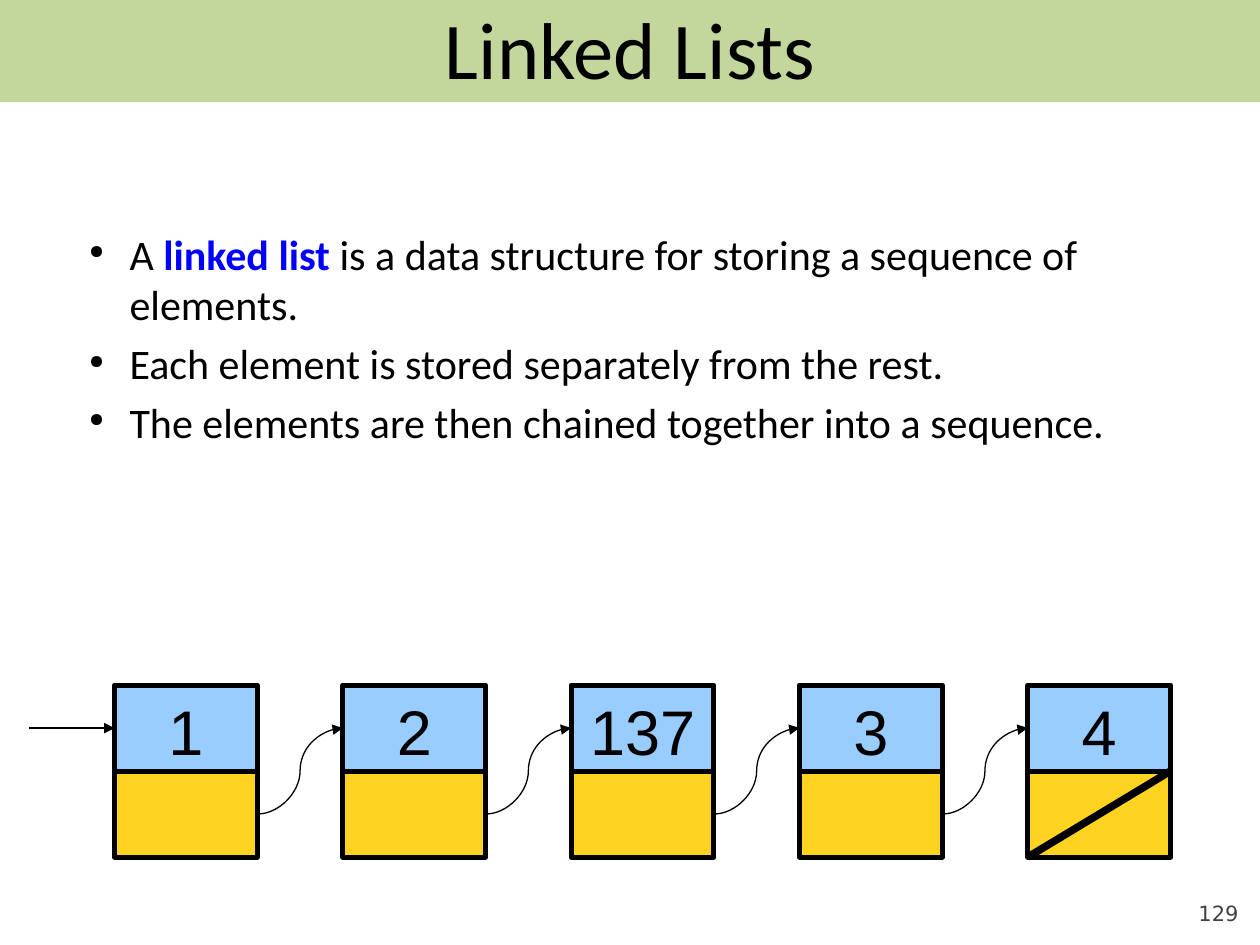
from lxml import etree
from pptx import Presentation
from pptx.dml.color import RGBColor
from pptx.enum.shapes import MSO_CONNECTOR, MSO_SHAPE
from pptx.enum.text import MSO_ANCHOR, PP_ALIGN
from pptx.oxml.ns import qn
from pptx.util import Inches, Pt

RECT, ROUNDED = MSO_SHAPE.RECTANGLE, MSO_SHAPE.ROUNDED_RECTANGLE
STRAIGHT, CURVE = MSO_CONNECTOR.STRAIGHT, MSO_CONNECTOR.CURVE
CENTER, RIGHT = PP_ALIGN.CENTER, PP_ALIGN.RIGHT
MIDDLE, BOTTOM = MSO_ANCHOR.MIDDLE, MSO_ANCHOR.BOTTOM
LEFT_SIDE, RIGHT_SIDE = 1, 3

WIDTH, HEIGHT = Inches(10), Inches(7.5)
BLACK, BLUE, GREY = "000000", "0000FF", "424242"
BAND, VALUE, POINTER = "C3D69B", "99CCFF", "FFD320"
GAP_PER_CELL = 0.6

VALUES = ["1", "2", "137", "3", "4"]
POINTS = [
    [("A ", False), ("linked list", True),
     (" is a data structure for storing a sequence of elements.", False)],
    [("Each element is stored separately from the rest.", False)],
    [("The elements are then chained together into a sequence.", False)],
]


def color(value):
    """Turn a hex string into a colour."""
    return RGBColor.from_string(value)


def share(left, top, width, height):
    """Turn percentages of the slide into a box of lengths."""
    return (int(WIDTH * left / 100), int(HEIGHT * top / 100),
            int(WIDTH * width / 100), int(HEIGHT * height / 100))


def add_run(paragraph, text, font, size, ink=BLACK, bold=False):
    """Append one styled run to a paragraph."""
    run = paragraph.add_run()
    run.text = text
    run.font.name, run.font.size, run.font.bold = font, Pt(size), bold
    run.font.color.rgb = color(ink)


def add_block(slide, kind, box, fill, weight=0):
    """Draw a filled shape, outlined in black when a weight is given."""
    block = slide.shapes.add_shape(kind, *box)
    block.shadow.inherit = False
    block.fill.solid()
    block.fill.fore_color.rgb = color(fill)
    if weight:
        block.line.color.rgb = color(BLACK)
        block.line.width = Pt(weight)
    else:
        block.line.fill.background()
    return block


def add_line(slide, kind, start, end, weight, arrow=False):
    """Draw a black connector without a shadow."""
    line = slide.shapes.add_connector(kind, *start, *end)
    line.line.color.rgb = color(BLACK)
    line.line.width = Pt(weight)
    if arrow:
        etree.SubElement(line.line._get_or_add_ln(), qn("a:tailEnd"), type="triangle")
    etree.SubElement(line._element.spPr, qn("a:effectLst"))
    return line


def add_title(slide, band_box, title_box):
    """Place the title on its coloured band."""
    band = add_block(slide, ROUNDED, band_box, BAND)
    band.adjustments[0] = 0
    frame = slide.shapes.add_textbox(*title_box).text_frame
    frame.word_wrap = True
    frame.vertical_anchor = MIDDLE
    heading = frame.paragraphs[0]
    heading.alignment = CENTER
    add_run(heading, "Linked Lists", "Calibri", 46)


def add_points(slide, box):
    """Place the bulleted definition."""
    frame = slide.shapes.add_textbox(*box).text_frame
    frame.word_wrap = True
    for index, parts in enumerate(POINTS):
        point = frame.add_paragraph() if index else frame.paragraphs[0]
        if index:
            point.space_before = Pt(4.8)
        props = point._p.get_or_add_pPr()
        props.set("marL", str(Inches(0.43)))
        props.set("indent", str(Inches(-0.32)))
        etree.SubElement(props, qn("a:buSzPct"), val="45000")
        etree.SubElement(props, qn("a:buChar"), char="●")
        for text, is_term in parts:
            add_run(point, text, "Calibri", 24, BLUE if is_term else BLACK, is_term)


def add_node(slide, box, value):
    """Stack a value cell on a pointer cell and return both."""
    left, top, width, height = box
    row = height // 2
    value_cell = add_block(slide, RECT, (left, top, width, row), VALUE, 2.89)
    pointer_cell = add_block(slide, RECT, (left, top + row, width, row), POINTER, 2.89)
    frame = value_cell.text_frame
    frame.word_wrap = False
    frame.vertical_anchor = MIDDLE
    frame.margin_left = frame.margin_right = Inches(0.11)
    frame.margin_top, frame.margin_bottom = Inches(0.1), Inches(0.06)
    label = frame.paragraphs[0]
    label.alignment = CENTER
    add_run(label, value, "Arial", 36)
    return value_cell, pointer_cell


def add_linked_list(slide, box):
    """Chain equal nodes across the box, ending in a null pointer."""
    left, top, width, height = box
    count = len(VALUES)
    cell = int(width / (count + (count - 1) * GAP_PER_CELL))
    gap = int(cell * GAP_PER_CELL)
    nodes = [add_node(slide, (left + i * (cell + gap), top, cell, height), value)
             for i, value in enumerate(VALUES)]

    entry_y = top + height // 4
    entry = add_line(slide, CURVE, (left - gap, entry_y), (left, entry_y), 0.75, True)
    entry.end_connect(nodes[0][0], LEFT_SIDE)
    for (_, pointer_cell), (value_cell, _) in zip(nodes, nodes[1:]):
        link = add_line(slide, CURVE, (0, 0), (0, 0), 0.75, True)
        link.begin_connect(pointer_cell, RIGHT_SIDE)
        link.end_connect(value_cell, LEFT_SIDE)

    last = nodes[-1][1]
    add_line(slide, STRAIGHT, (last.left, last.top + last.height),
             (last.left + last.width, last.top), 4.31)


def add_slide_number(slide, box):
    """Place the slide number in the corner."""
    frame = slide.shapes.add_textbox(*box).text_frame
    frame.word_wrap = True
    frame.vertical_anchor = BOTTOM
    frame.margin_left = frame.margin_right = frame.margin_top = frame.margin_bottom = 0
    number = frame.paragraphs[0]
    number.alignment = RIGHT
    add_run(number, "129", "DejaVu Sans", 12, GREY)


def main():
    """Build the slide and save it."""
    deck = Presentation()
    deck.slide_width, deck.slide_height = WIDTH, HEIGHT
    slide = deck.slides.add_slide(deck.slide_layouts[6])
    add_slide_number(slide, share(90, 92.7, 8.3, 5.3))
    add_title(slide, share(0, 0, 100, 10.8), share(5, 0, 90, 10))
    add_points(slide, share(5, 23.5, 90, 66))
    add_linked_list(slide, share(9.1, 72.5, 83.8, 18.2))
    deck.save("out.pptx")


if __name__ == "__main__":
    main()
